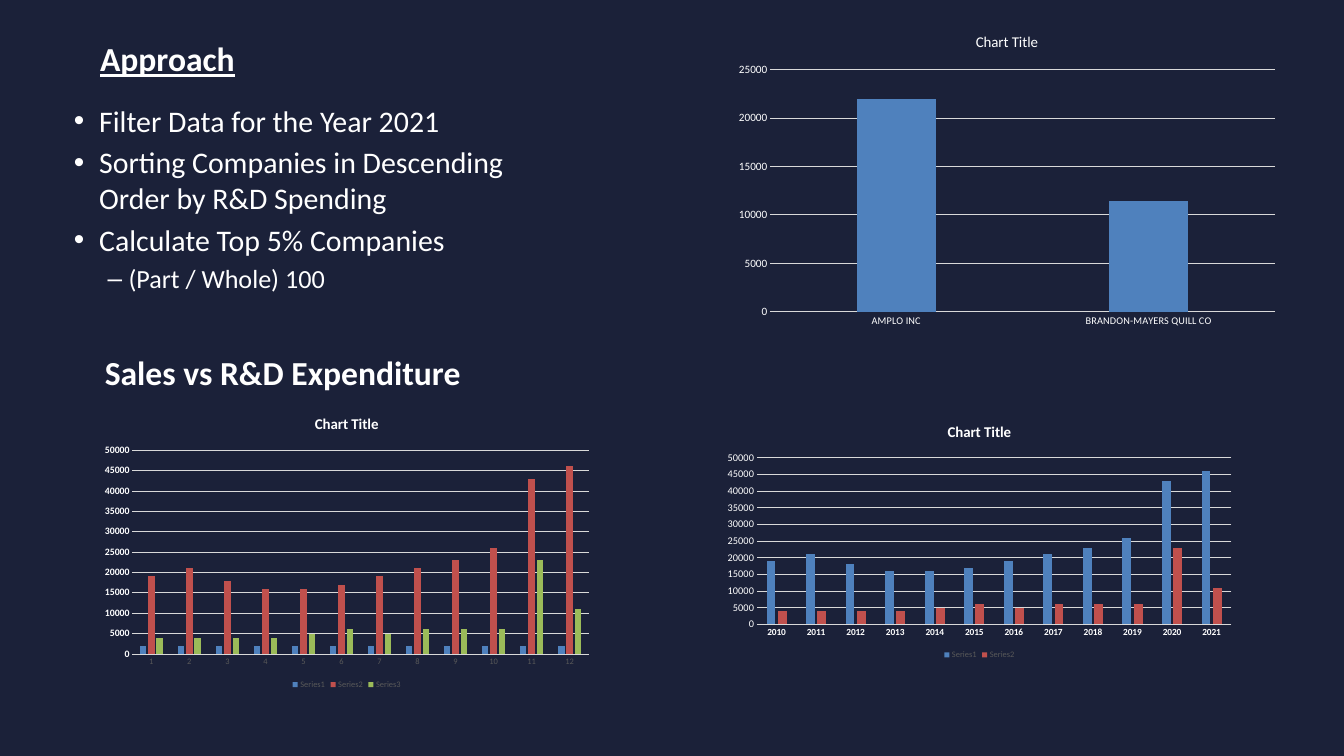
"""Build the approach and R&D spending slide with three column charts."""
from pptx import Presentation
from pptx.chart.data import CategoryChartData
from pptx.dml.color import RGBColor
from pptx.enum.chart import XL_CHART_TYPE, XL_LEGEND_POSITION, XL_TICK_MARK
from pptx.enum.text import MSO_ANCHOR, MSO_AUTO_SIZE, PP_ALIGN
from pptx.util import Inches, Pt

C = {"bg": "1B2139", "text": "FFFFFF", "grid": "D9D9D9", "muted": "595959",
     "blue": "4F81BD", "red": "C0504D", "green": "9BBB59"}

prs = Presentation()
prs.slide_width, prs.slide_height = Inches(20), Inches(11.25)
COL, ROW = prs.slide_width / 100, prs.slide_height / 100


def grid(x, y, w, h):
    return [int(v) for v in (x * COL, y * ROW, w * COL, h * ROW)]


def style(font, size, color="text", **extra):
    values = {"name": "Calibri", "size": Pt(size), "bold": False, **extra}
    for key, value in values.items():
        setattr(font, key, value)
    font.color.rgb = RGBColor.from_string(C[color])


s = prs.slides.add_slide(prs.slide_layouts[1])
s.background.fill.solid()
s.background.fill.fore_color.rgb = RGBColor.from_string(C["bg"])

headings = [
    (s.shapes.title, "Approach", (7.45, 5.07, 36.1, 3.47), True),
    (s.shapes.add_textbox(0, 0, 0, 0), "Sales vs R&D Expenditure", (7.8, 46.58, 36.1, 3.47), False),
]
for sp, text, place, underline in headings:
    sp.left, sp.top, sp.width, sp.height = grid(*place)
    tf = sp.text_frame
    frame = {"text": text, "word_wrap": True, "auto_size": MSO_AUTO_SIZE.NONE,
             "vertical_anchor": MSO_ANCHOR.TOP, "margin_left": 0, "margin_top": 0,
             "margin_right": 0, "margin_bottom": 0}
    for key, value in frame.items():
        setattr(tf, key, value)
    p = tf.paragraphs[0]
    p.alignment = PP_ALIGN.LEFT
    style(p.runs[0].font, 36, bold=True, underline=underline)

body = s.placeholders[1]
body.left, body.top, body.width, body.height = grid(5, 13.07, 36.9, 49.33)
tf = body.text_frame
tf.auto_size = MSO_AUTO_SIZE.NONE
steps = [("Filter Data for the Year 2021", 0),
         ("Sorting Companies in Descending Order by R&D Spending", 0),
         ("Calculate Top 5% Companies", 0),
         ("(Part / Whole) 100", 1)]
tf.text = "\n".join(text for text, level in steps)
for p, (text, level) in zip(tf.paragraphs, steps):
    p.level = level
    style(p.font, 32 - 4 * level)
    style(p.runs[0].font, 32 - 4 * level)
tf.paragraphs[0].space_before = Pt(0)

sales = [19000, 21000, 18000, 16000, 16000, 17000, 19000, 21000, 23000, 26000, 43000, 46000]
spending = [4000, 4000, 4000, 4000, 5000, 6000, 5000, 6000, 6000, 6000, 23000, 11000]
charts = [
    {"place": (54.15, 2.58, 41.55, 41.51), "cats": ["AMPLO INC", "BRANDON-MAYERS QUILL CO"],
     "series": [[21900, 11400]], "top": 25000, "title_bold": False,
     "cat": (11, "text", False), "val": (12, "text", False)},
    {"place": (7.05, 53.16, 37.5, 38.4), "cats": [str(n) for n in range(1, 13)],
     "series": [[2000] * 12, sales, spending], "top": 50000, "title_bold": True,
     "cat": (9, "muted", False), "val": (10.5, "text", True)},
    {"place": (53.35, 54.31, 39.05, 33.33), "cats": [str(y) for y in range(2010, 2022)],
     "series": [sales, spending], "top": 50000, "title_bold": True,
     "cat": (10, "text", True), "val": (11, "text", False)},
]
for spec_ in charts:
    data = CategoryChartData(number_format="0")
    data.categories = spec_["cats"]
    for n, values in enumerate(spec_["series"], 1):
        data.add_series(f"Series{n}", values)
    chart = s.shapes.add_chart(XL_CHART_TYPE.COLUMN_CLUSTERED, *grid(*spec_["place"]), data).chart
    style(chart.font, 10)

    chart.has_title = True
    title = chart.chart_title
    title.include_in_layout = False
    title.text_frame.text = "Chart Title"
    style(title.text_frame.paragraphs[0].runs[0].font, 16, bold=spec_["title_bold"])

    chart.has_legend = len(spec_["series"]) > 1
    if chart.has_legend:
        chart.legend.position = XL_LEGEND_POSITION.BOTTOM
        chart.legend.include_in_layout = False
        style(chart.legend.font, 9, "muted")

    cat, val = chart.category_axis, chart.value_axis
    for axis, key in ((cat, "cat"), (val, "val")):
        axis.major_tick_mark = axis.minor_tick_mark = XL_TICK_MARK.NONE
        size, color, bold = spec_[key]
        style(axis.tick_labels.font, size, color, bold=bold)
    val.minimum_scale, val.maximum_scale, val.major_unit = 0, spec_["top"], 5000
    val.tick_labels.number_format = "0"
    val.tick_labels.number_format_is_linked = False
    val.format.line.fill.background()
    for line in (cat.format.line, val.major_gridlines.format.line):
        line.width = Pt(0.75)
        line.color.rgb = RGBColor.from_string(C["grid"])

    plot = chart.plots[0]
    plot.gap_width, plot.overlap, plot.vary_by_categories = 219, -27, False
    for series, color in zip(plot.series, ("blue", "red", "green")):
        series.format.fill.solid()
        series.format.fill.fore_color.rgb = RGBColor.from_string(C[color])

prs.save("out.pptx")
